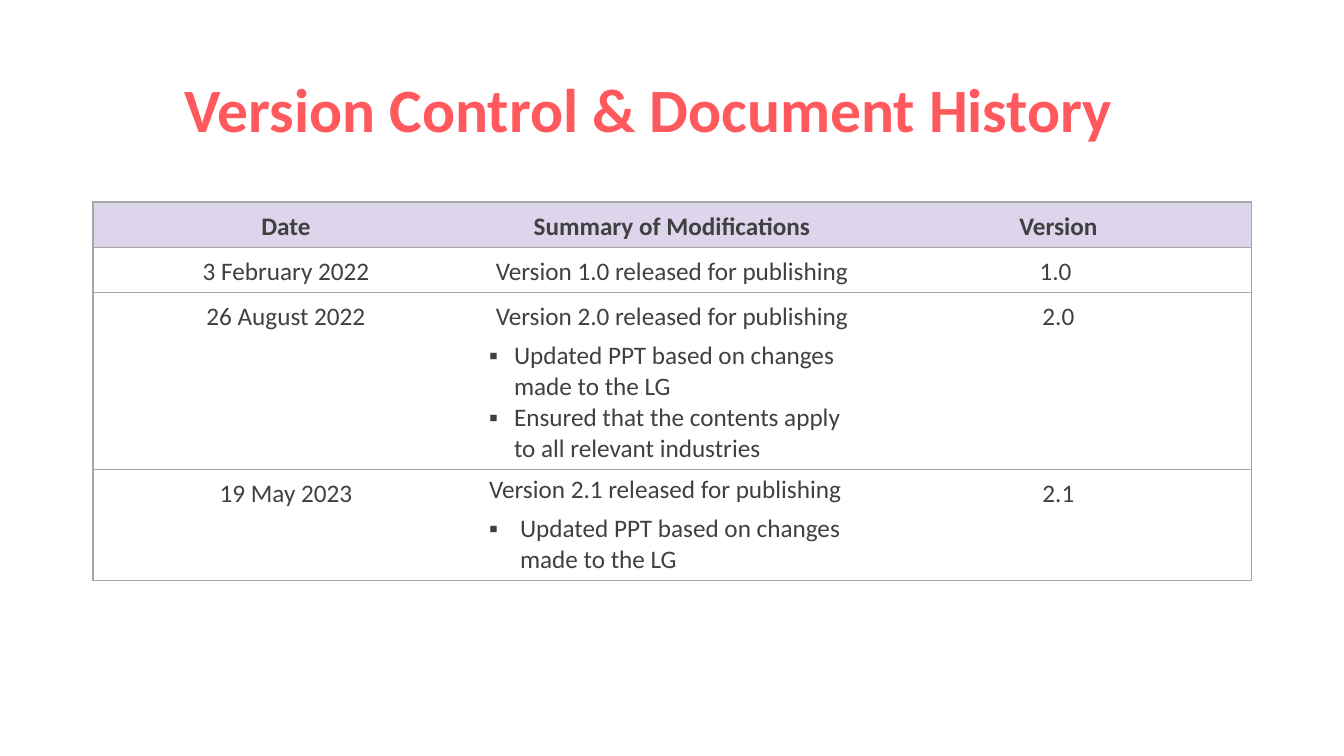
from lxml import etree
from pptx import Presentation
from pptx.dml.color import RGBColor
from pptx.enum.text import MSO_ANCHOR, PP_ALIGN
from pptx.oxml.ns import qn
from pptx.util import Emu, Pt

FONT = "Calibri"
CORAL, INK, GREY, LAVENDER = "FF595E", "404040", "A6A6A6", "DDD5EB"
COLUMN_WIDTHS = [386, 386, 387]
ROW_HEIGHTS = [45, 45, 177, 110]


def px(length):
    return Emu(round(length * 914400 / 100.8))


def color(code):
    return RGBColor.from_string(code)


def centred(text):
    return {"text": text, "align": PP_ALIGN.CENTER, "spacing": 1.14, "after": 6}


def listed(text, indent=0, after=0):
    return {"text": text, "level": 1, "indent": indent, "after": after}


HISTORY = [
    [[centred("Date")], [centred("Summary of Modifications")], [centred("Version")]],
    [[centred("3 February 2022")], [centred("Version 1.0 released for publishing")],
     [centred("1.0 ")]],
    [[centred("26 August 2022")],
     [centred("Version 2.0 released for publishing"),
      listed("Updated PPT based on changes made to the LG", 25),
      listed("Ensured that the contents apply to all relevant industries", 25)],
     [centred("2.0")]],
    [[centred("19 May 2023")],
     [listed("Version 2.1 released for publishing", after=6),
      listed("Updated PPT based on changes made to the LG", 31, 6)],
     [centred("2.1")]],
]


class HistorySlide:
    """Holds the style and the current slide, and draws its elements."""

    def __init__(self, deck):
        self.page = deck.slides.add_slide(deck.slide_layouts[5])

    def add_span(self, para, text, size, ink, bold=False):
        span = para.add_run()
        span.text = text
        span.font.name = FONT
        span.font.size = Pt(size)
        span.font.bold = bold
        span.font.color.rgb = color(ink)

    def title(self, text, left, top, width, height):
        box = self.page.shapes.title
        box.left, box.top, box.width, box.height = map(px, (left, top, width, height))
        box.text_frame.vertical_anchor = MSO_ANCHOR.MIDDLE
        para = box.text_frame.paragraphs[0]
        para.alignment = PP_ALIGN.CENTER
        para.line_spacing = 0.9
        self.add_span(para, text, 44, CORAL, True)

    def paragraph(self, para, text, bold, align=PP_ALIGN.LEFT, spacing=1.0,
                  after=0, level=0, indent=0):
        properties = para._p.get_or_add_pPr()
        properties.set("marL", str(px(indent)))
        properties.set("indent", str(-px(indent)))
        if indent:
            etree.SubElement(properties, qn("a:buFont"), typeface=FONT)
            etree.SubElement(properties, qn("a:buChar"), char="▪")
        para.alignment = align
        para.level = level
        para.line_spacing = spacing
        para.space_after = Pt(after)
        self.add_span(para, text, 18, INK, bold)

    def borders(self, cell, visible):
        properties = cell._tc.get_or_add_tcPr()
        for position, side in enumerate("LRTB"):
            line = etree.Element(qn(f"a:ln{side}"), w=str(Pt(1)))
            if side in visible:
                fill = etree.SubElement(line, qn("a:solidFill"))
                etree.SubElement(fill, qn("a:srgbClr"), val=GREY)
            else:
                etree.SubElement(line, qn("a:noFill"))
            properties.insert(position, line)

    def table(self, rows, left, top):
        frame = self.page.shapes.add_table(
            len(rows), len(COLUMN_WIDTHS), px(left), px(top),
            px(sum(COLUMN_WIDTHS)), px(sum(ROW_HEIGHTS)))
        table = frame.table
        table.first_row = table.horz_banding = False
        for column, width in zip(table.columns, COLUMN_WIDTHS):
            column.width = px(width)
        for row, height in zip(table.rows, ROW_HEIGHTS):
            row.height = px(height)
        sides = ["LTB", "TB", "RTB"]
        for row_index, row in enumerate(rows):
            header = row_index == 0
            for column_index, entries in enumerate(row):
                cell = table.cell(row_index, column_index)
                if header:
                    cell.fill.solid()
                    cell.fill.fore_color.rgb = color(LAVENDER)
                else:
                    cell.fill.background()
                self.borders(cell, sides[column_index])
                for number, entry in enumerate(entries):
                    text_frame = cell.text_frame
                    para = text_frame.add_paragraph() if number else text_frame.paragraphs[0]
                    self.paragraph(para, bold=header, **entry)


def main():
    deck = Presentation()
    deck.slide_width, deck.slide_height = px(1344), px(756)
    slide = HistorySlide(deck)
    slide.title("Version Control & Document History", 93, 40, 1112, 146)
    slide.table(HISTORY, 93, 202)
    deck.save("out.pptx")


if __name__ == "__main__":
    main()
